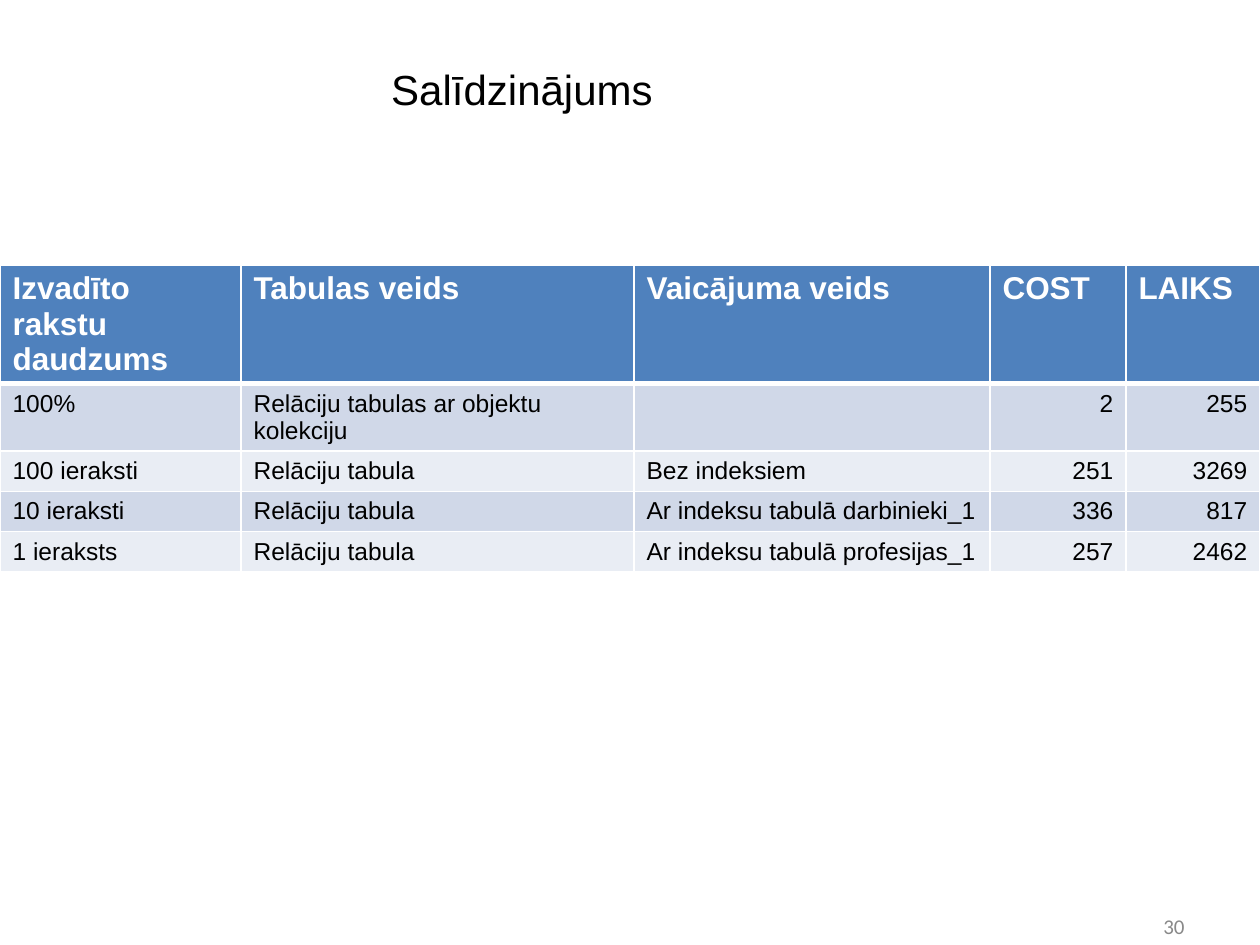
from dataclasses import dataclass

from lxml import etree
from pptx import Presentation
from pptx import util as u
from pptx.dml.color import RGBColor
from pptx.enum import text
from pptx.oxml import ns

PX = 914400 // 126  # EMU per pixel


@dataclass(frozen=True)
class Theme:
    font: str = "Arial"
    number_font: str = "Calibri"
    title_size: int = 24
    header_size: int = 18
    cell_size: int = 14
    number_size: int = 12
    ink: str = "000000"
    white: str = "FFFFFF"
    grey: str = "898989"
    header: str = "4F81BD"
    bands: tuple = ("D0D8E8", "E9EDF4")


THEME = Theme()
LEFT, CENTER, RIGHT = text.PP_ALIGN.LEFT, text.PP_ALIGN.CENTER, text.PP_ALIGN.RIGHT

COLUMNS = [241, 393, 356, 136, 134]
ROWS = [118, 67, 40, 40, 40]
NUMBER_COLUMNS = (3, 4)
CELLS = [
    ["Izvadīto rakstu daudzums", "Tabulas veids", "Vaicājuma veids", "COST", "LAIKS"],
    ["100%", "Relāciju tabulas ar objektu kolekciju", "", "2", "255"],
    ["100 ieraksti", "Relāciju tabula", "Bez indeksiem", "251", "3269"],
    ["10 ieraksti", "Relāciju tabula", "Ar indeksu tabulā darbinieki_1", "336", "817"],
    ["1 ieraksts", "Relāciju tabula", "Ar indeksu tabulā profesijas_1", "257", "2462"],
]


def px(*lengths):
    return [u.Emu(n * PX) for n in lengths]


def write(tf, words, size, color, align, font=THEME.font, bold=False):
    p = tf.paragraphs[0]
    p.text = words
    p.alignment = align
    p.font.name, p.font.size, p.font.bold = font, u.Pt(size), bold
    p.font.color.rgb = RGBColor.from_string(color)


def set_borders(cell, **widths):
    """Draw white borders; widths in points are keyed L, R, T, B."""
    tc_pr = cell._tc.get_or_add_tcPr()
    for i, (side, width) in enumerate(widths.items()):
        ln = etree.Element(ns.qn(f"a:ln{side}"), w=str(u.Pt(width)))
        fill = etree.SubElement(ln, ns.qn("a:solidFill"))
        etree.SubElement(fill, ns.qn("a:srgbClr"), val=THEME.white)
        tc_pr.insert(i, ln)


def add_title(s, words, box):
    sp = s.shapes.title
    sp.left, sp.top, sp.width, sp.height = px(*box)
    sp.text_frame.vertical_anchor = text.MSO_ANCHOR.MIDDLE
    write(sp.text_frame, words, THEME.title_size, THEME.ink, CENTER)


def add_comparison(s, left, top):
    box = px(left, top, sum(COLUMNS), sum(ROWS))
    table = s.shapes.add_table(len(ROWS), len(COLUMNS), *box).table
    for column, width in zip(table.columns, px(*COLUMNS)):
        column.width = width
    for row, height in zip(table.rows, px(*ROWS)):
        row.height = height
    for r, row in enumerate(CELLS):
        head = r == 0
        fill = THEME.header if head else THEME.bands[(r - 1) % 2]
        size = THEME.header_size if head else THEME.cell_size
        color = THEME.white if head else THEME.ink
        for c, words in enumerate(row):
            cell = table.cell(r, c)
            cell.fill.solid()
            cell.fill.fore_color.rgb = RGBColor.from_string(fill)
            align = RIGHT if c in NUMBER_COLUMNS and not head else LEFT
            write(cell.text_frame, words, size, color, align, bold=head)
            # A heavier rule separates the header from the body
            set_borders(cell, L=1, R=1, T=3 if r == 1 else 1, B=3 if head else 1)


def add_page_number(s, words, box):
    tf = s.shapes.add_textbox(*px(*box)).text_frame
    tf.word_wrap = True
    tf.vertical_anchor = text.MSO_ANCHOR.MIDDLE
    write(tf, words, THEME.number_size, THEME.grey, RIGHT, THEME.number_font)


def main():
    prs = Presentation()
    prs.slide_width, prs.slide_height = u.Inches(10), u.Inches(7.5)
    s = prs.slides.add_slide(prs.slide_layouts[5])

    # Heading
    add_title(s, "Salīdzinājums", (0, 10, 1044, 158))
    # Comparison table
    add_comparison(s, 0, 265)
    # Page number
    add_page_number(s, "30", (903, 901, 294, 50))

    prs.save("out.pptx")


main()
